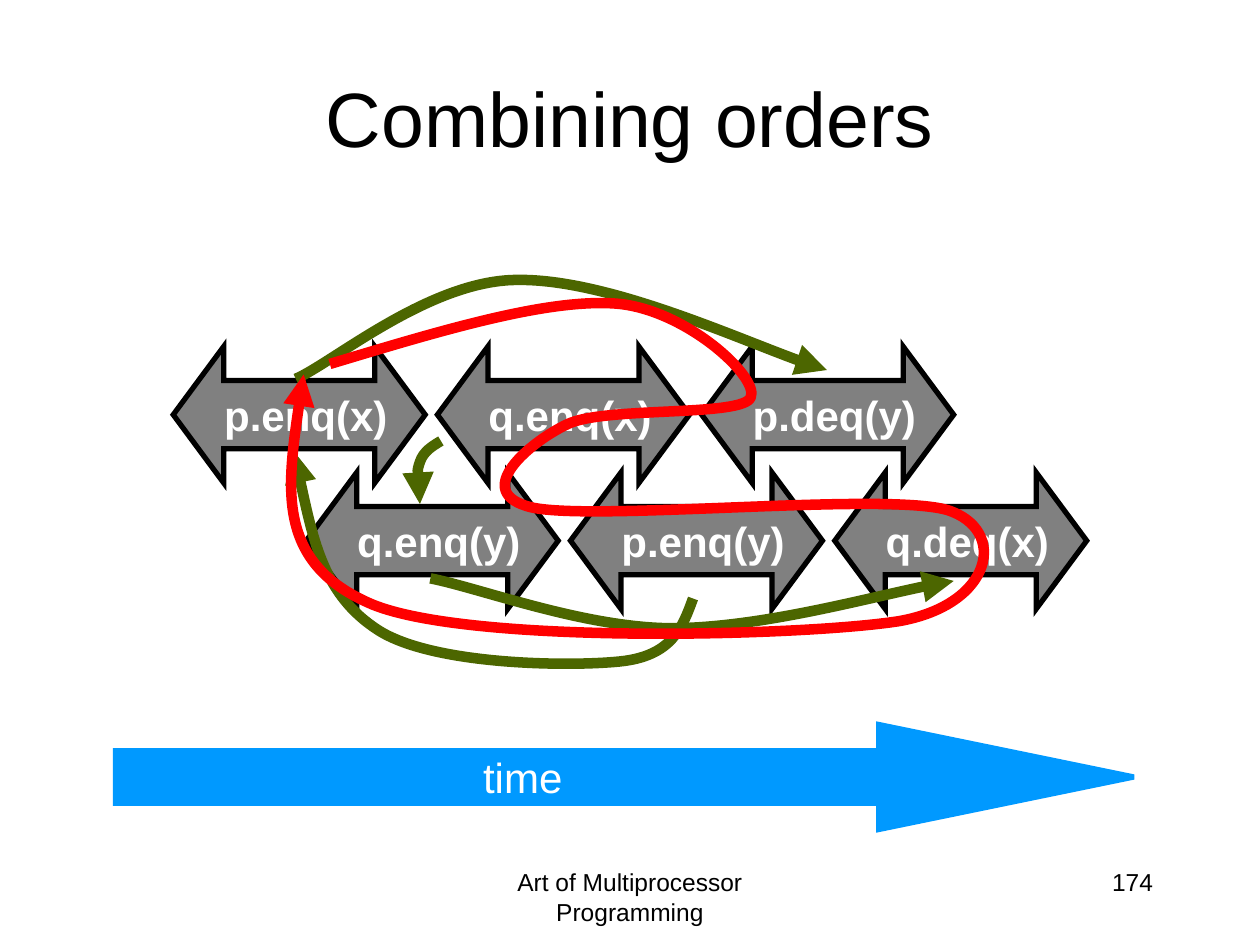
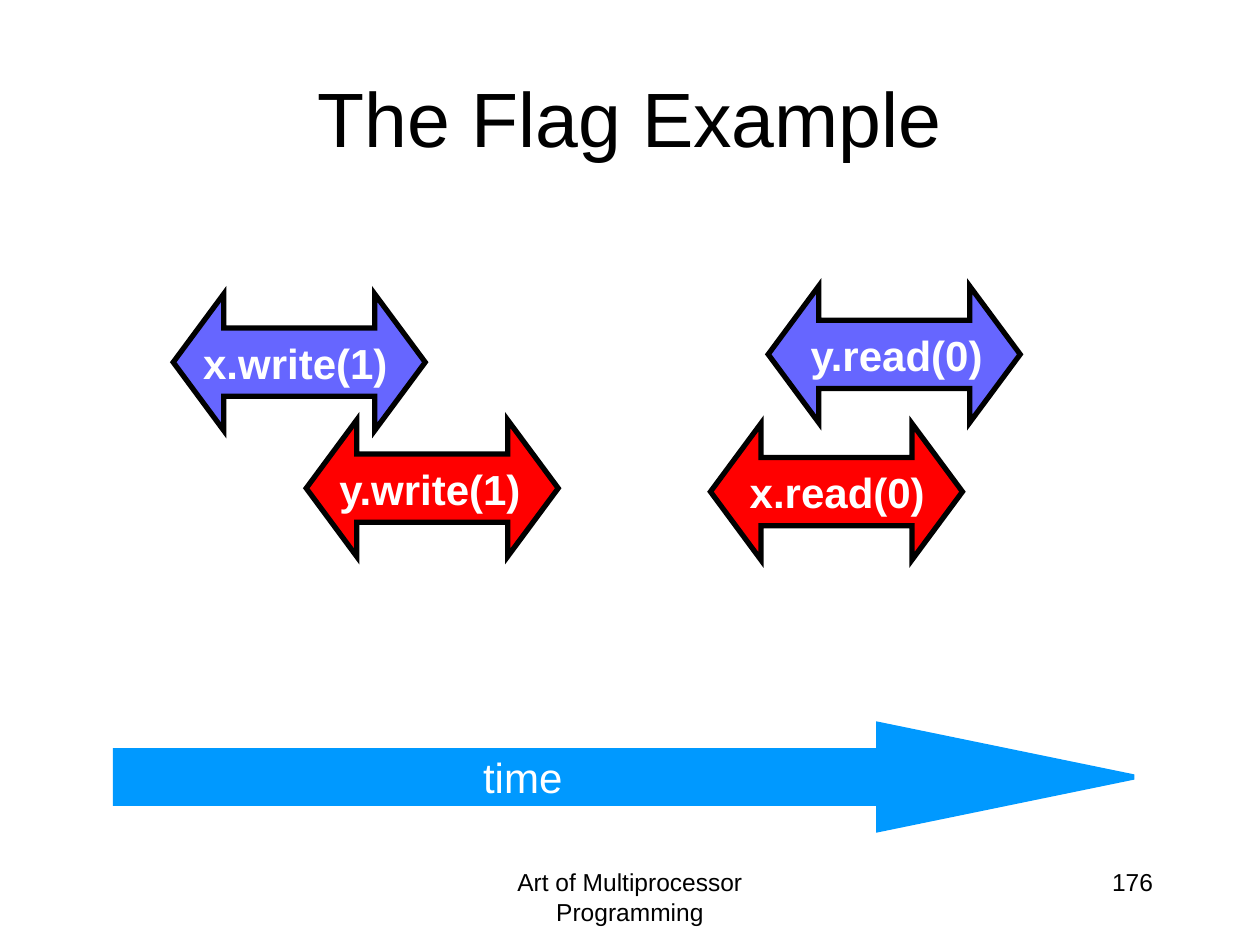
from lxml import etree
from pptx import Presentation
from pptx.dml.color import RGBColor
from pptx.enum.shapes import MSO_SHAPE
from pptx.enum.text import MSO_ANCHOR, PP_ALIGN
from pptx.oxml.ns import qn
from pptx.util import Pt

SPAN = MSO_SHAPE.LEFT_RIGHT_ARROW
ARROW = MSO_SHAPE.RIGHT_ARROW
MIDDLE = MSO_ANCHOR.MIDDLE
CENTER, RIGHT = PP_ALIGN.CENTER, PP_ALIGN.RIGHT

FONT = "Arial"
BLACK, WHITE, GRAY = "000000", "FFFFFF", "808080"
SKY, BLUE, RED, GREEN = "0099FF", "6666FF", "FF0000", "4C6600"
FOOTER = "Art of Multiprocessor Programming"

# Spans of slide one: both rows share one step
STEP = 151
ROWS = [
    (99, 198, ["p.enq(x)", "q.enq(x)", "p.deq(y)"]),
    (175, 270, ["q.enq(y)", "p.enq(y)", "q.deq(x)"]),
]
FLAGS = [
    ("x.write(1)", 99, 168, BLUE),
    ("y.read(0)", 439, 163.5, BLUE),
    ("y.write(1)", 175, 240, RED),
    ("x.read(0)", 406, 242, RED),
]

# Bezier points: a start, then three points for each segment
ORDERS = [
    [(252, 252), (247, 255), (242, 258), (240, 264),
     (238, 270), (239, 279), (240, 288)],
    [(246, 330.5), (274, 336), (333, 358.5), (383, 359),
     (433, 359), (517.5, 336), (545, 332)],
    [(169, 216.5), (190, 207.5), (245, 160.5), (295, 160),
     (345.5, 159), (443, 203), (472.5, 211.5)],
    [(396, 342), (390, 358.5), (384, 375), (354, 378),
     (324, 381), (247, 380), (216, 360),
     (185, 340), (176.5, 299), (168, 258)],
]
CYCLE = [
    (188.5, 208), (250, 189.5), (312, 170.5), (352, 173.5),
    (391.5, 176.5), (434, 215.5), (429, 227),
    (425, 238.5), (345, 232), (324, 242.5),
    (303, 252.5), (268, 281.5), (304, 290),
    (340.5, 298), (506, 281), (541.5, 291.5),
    (576, 302.5), (568, 345.5), (513.5, 355),
    (458.5, 363.5), (270, 368.5), (213, 345.5),
    (157, 322), (165, 268), (173.5, 214),
]


def paint(target, tint):
    """Make a fill solid in one colour."""
    target.solid()
    target.fore_color.rgb = RGBColor.from_string(tint)


def write(frame, text, size, tint, align, bold=False):
    para = frame.paragraphs[0]
    para.alignment = align
    run = para.add_run()
    run.text = text
    font = run.font
    font.name, font.size, font.bold = FONT, Pt(size), bold
    paint(font.fill, tint)


def label(slide, text, box, size, tint, align, wrap=True):
    frame = slide.shapes.add_textbox(*map(Pt, box)).text_frame
    frame.word_wrap = wrap
    write(frame, text, size, tint, align)


def stroke(shape, tint, width):
    """Set the outline; return its XML element for joins and arrowheads."""
    shape.shadow.inherit = False
    paint(shape.line.fill, tint)
    shape.line.width = Pt(width)
    return shape.line._get_or_add_ln()


def block(slide, kind, box, ratios, fill, edge):
    """Add an arrow shape with sharp corners."""
    shape = slide.shapes.add_shape(kind, *map(Pt, box))
    for i, ratio in enumerate(ratios):
        shape.adjustments[i] = ratio
    paint(shape.fill, fill)
    line = stroke(shape, edge, 3)
    etree.SubElement(line, qn("a:miter"), lim="800000")
    return shape


def call(slide, text, left, top, fill):
    """Add the time span of one method call."""
    shape = block(slide, SPAN, (left, top, 144, 78), (0.5, 0.37), fill, BLACK)
    frame = shape.text_frame
    frame.word_wrap = False
    frame.vertical_anchor = MIDDLE
    write(frame, text, 24, WHITE, RIGHT, True)


def curve(slide, points, tint):
    """Draw a Bezier curve that ends in an arrowhead."""
    spots = [(Pt(x), Pt(y)) for x, y in points]
    form = slide.shapes.build_freeform(*spots[0], scale=1.0)
    form.add_line_segments(spots[1:], close=False)
    shape = form.convert_to_shape()
    shape.fill.background()
    lines = list(shape._element.iter(qn("a:lnTo")))
    for i in range(0, len(lines), 3):
        trio = lines[i:i + 3]
        bend = etree.Element(qn("a:cubicBezTo"))
        trio[0].addprevious(bend)
        for part in trio:
            bend.append(part[0])
            part.getparent().remove(part)
    line = stroke(shape, tint, 6)
    etree.SubElement(line, qn("a:tailEnd"), type="triangle")


def page(deck, title, number):
    """Start a slide with its title, footer and time arrow."""
    slide = deck.slides.add_slide(deck.slide_layouts[5])
    head = slide.shapes.title
    head.left, head.top, head.width, head.height = map(Pt, (36, 21.6, 648, 90))
    head.text_frame.vertical_anchor = MIDDLE
    write(head.text_frame, title, 44, BLACK, CENTER)
    label(slide, FOOTER, (246, 492, 228, 36), 14, BLACK, CENTER)
    label(slide, number, (516, 492, 150, 36), 14, BLACK, RIGHT)
    block(slide, ARROW, (66, 414, 582, 60), (0.5, 2.43), SKY, SKY)
    label(slide, "time", (268, 426, 60.5, 36), 24, WHITE, RIGHT, False)
    return slide


def main():
    deck = Presentation()
    deck.slide_width, deck.slide_height = Pt(720), Pt(540)

    slide = page(deck, "Combining orders", "174")
    for left, top, names in ROWS:
        for i, name in enumerate(names):
            call(slide, name, left + i * STEP, top, GRAY)
    for points in ORDERS:
        curve(slide, points, GREEN)
    curve(slide, CYCLE, RED)

    slide = page(deck, "The Flag Example", "176")
    for flag in FLAGS:
        call(slide, *flag)

    deck.save("out.pptx")


if __name__ == "__main__":
    main()
